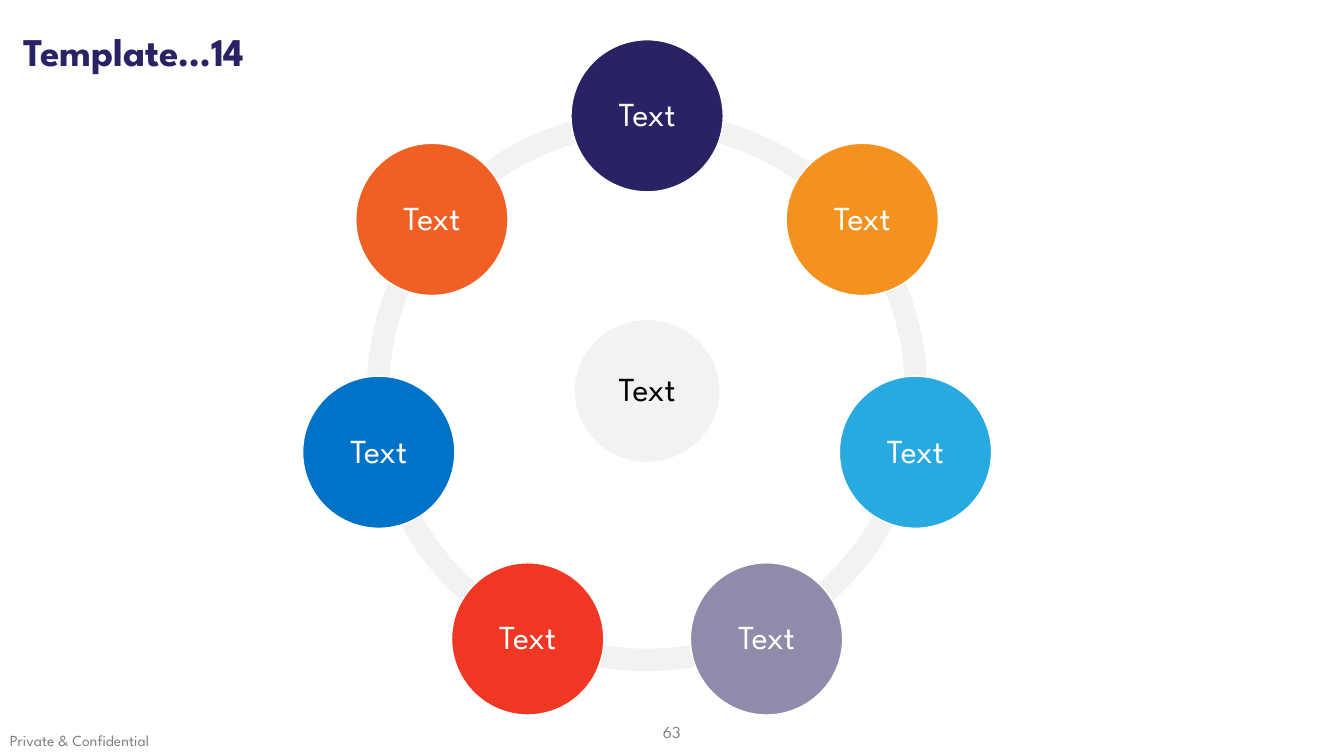
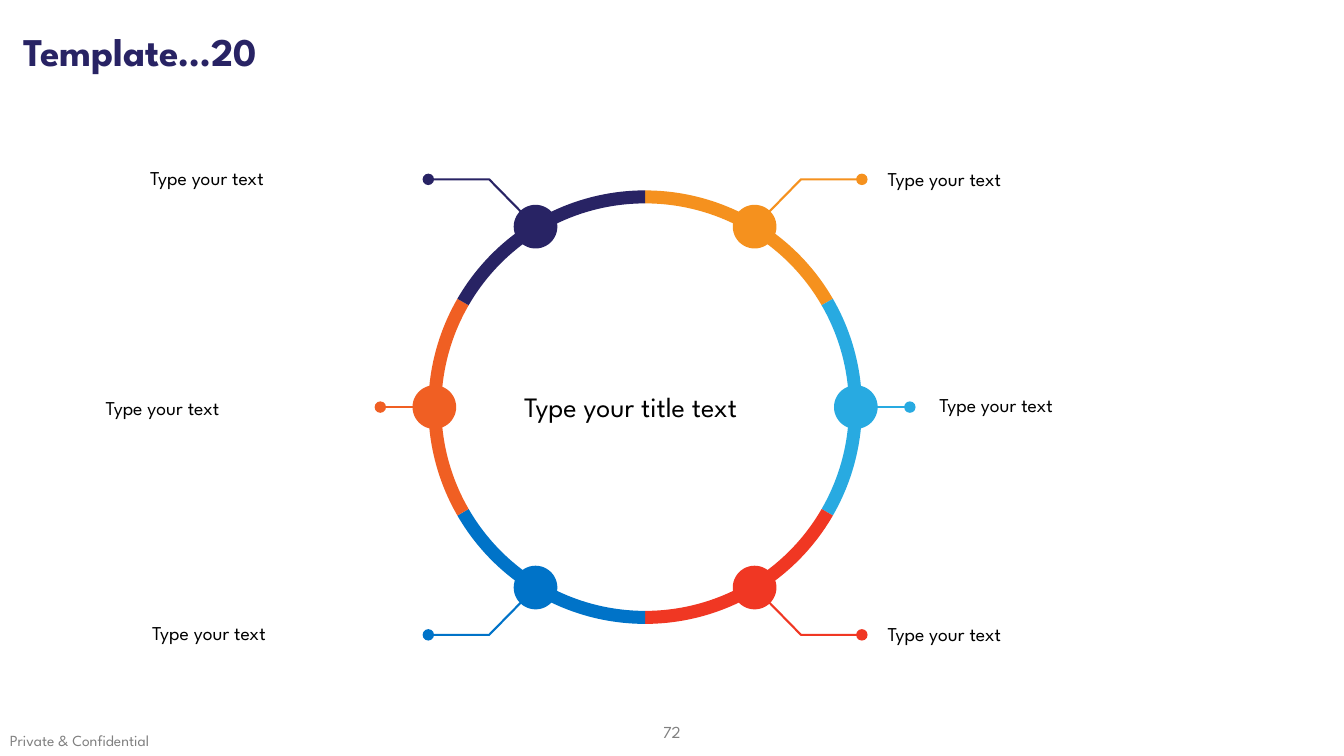
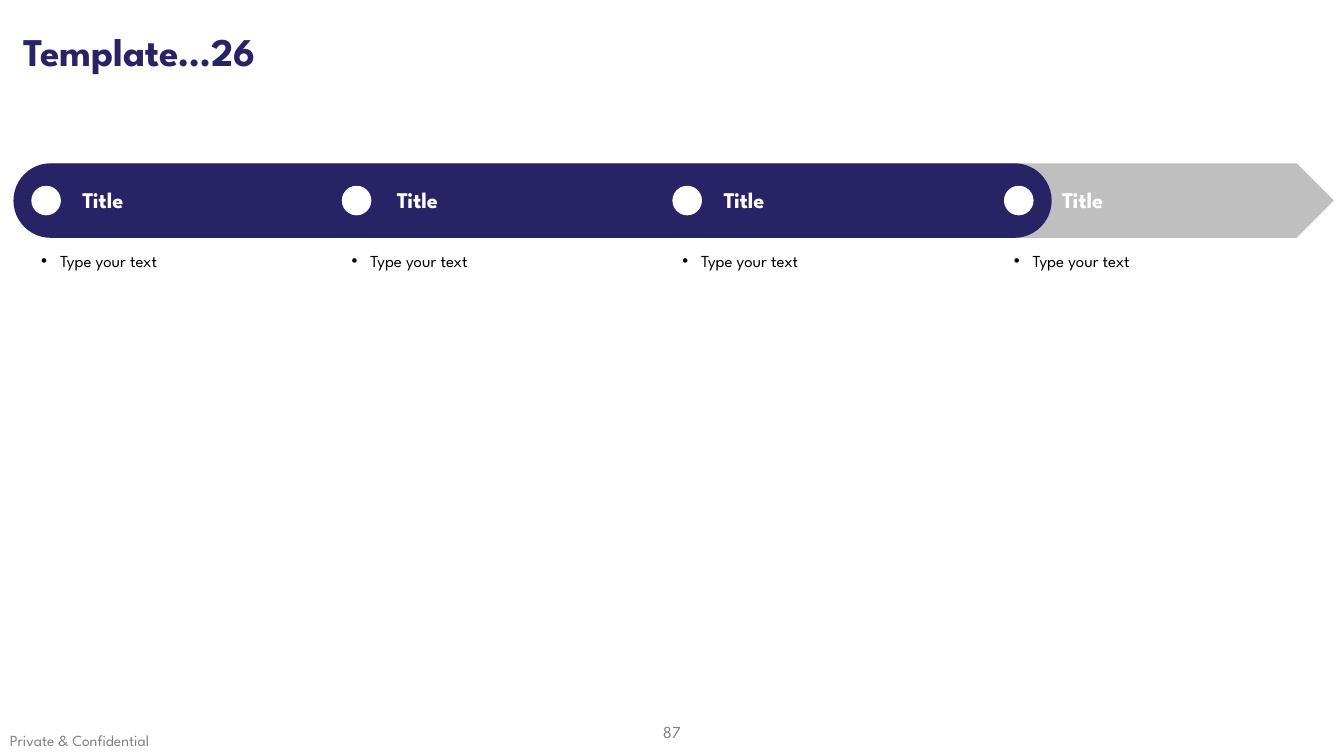
from math import cos, radians, sin

from lxml.etree import SubElement
from pptx import Presentation
from pptx.dml.color import RGBColor
from pptx.enum.shapes import MSO_CONNECTOR, MSO_SHAPE
from pptx.enum.text import MSO_ANCHOR, PP_ALIGN
from pptx.oxml.ns import qn
from pptx.util import Inches, Pt

SLIDE_WIDTH = Inches(13.33)
SLIDE_HEIGHT = Inches(7.5)
COLUMNS = 100

FONT = "League Spartan"
NAVY = "282364"
AMBER = "F5911E"
SKY = "28AAE1"
MAUVE = "918AAA"
RED = "F03723"
BLUE = "0073C8"
ORANGE = "F05F23"
PALE = "F2F2F2"
SILVER = "BFBFBF"
GREY = "808080"
WHITE = "FFFFFF"
BLACK = "000000"


def cells(count):
    return round(SLIDE_WIDTH * count / COLUMNS)


def color(hex_value):
    return RGBColor.from_string(hex_value)


def write(paragraph, text, size, hex_value, bold=False):
    run = paragraph.add_run()
    run.text = text
    run.font.name = FONT
    run.font.size = Pt(size)
    run.font.bold = bold
    run.font.color.rgb = color(hex_value)


def add_text(slide, box, text, size, hex_value=BLACK, bold=False, wrap=True):
    shape = slide.shapes.add_textbox(*map(cells, box))
    shape.text_frame.word_wrap = wrap
    write(shape.text_frame.paragraphs[0], text, size, hex_value, bold)
    return shape.text_frame


def indent(paragraph, left, first=0):
    properties = paragraph._p.get_or_add_pPr()
    properties.set("marL", str(cells(left)))
    properties.set("indent", str(cells(first)))
    return properties


def add_bullet(slide, box, text, size):
    frame = add_text(slide, box, text, size)
    properties = indent(frame.paragraphs[0], 1.4, -1.4)
    SubElement(properties, qn("a:buFont")).set("typeface", "Arial")
    SubElement(properties, qn("a:buChar")).set("char", "•")


def add_filled(slide, kind, box, fill, outline=None):
    shape = slide.shapes.add_shape(kind, *map(cells, box))
    shape.shadow.inherit = False
    shape.fill.solid()
    shape.fill.fore_color.rgb = color(fill)
    if outline:
        shape.line.color.rgb = color(outline)
        shape.line.width = Pt(1)
    else:
        shape.line.fill.background()
    return shape


def add_disc(slide, center, width, fill, height=None, outline=None):
    height = height or width
    x, y = center
    box = (x - width / 2, y - height / 2, width, height)
    return add_filled(slide, MSO_SHAPE.OVAL, box, fill, outline)


def add_labelled_disc(slide, center, width, fill, text, hex_value, height=None):
    shape = add_disc(slide, center, width, fill, height, WHITE)
    frame = shape.text_frame
    frame.margin_left = frame.margin_right = Inches(0.03)
    frame.margin_top = frame.margin_bottom = Inches(0.03)
    frame.vertical_anchor = MSO_ANCHOR.MIDDLE
    paragraph = frame.paragraphs[0]
    paragraph.alignment = PP_ALIGN.CENTER
    paragraph.line_spacing = 0.9
    write(paragraph, text, 24, hex_value)


def add_ring(slide, center, radius, thickness, fills):
    x, y = center
    sweep = 360 / len(fills)
    for index, fill in enumerate(fills):
        box = (x - radius, y - radius, 2 * radius, 2 * radius)
        arc = add_filled(slide, MSO_SHAPE.BLOCK_ARC, box, fill)
        start = 270 + index * sweep
        arc.adjustments[0] = start % 360 * 0.6
        arc.adjustments[1] = (start + sweep) % 360 * 0.6
        arc.adjustments[2] = thickness


def add_leader(slide, points, hex_value):
    points = [(cells(x), cells(y)) for x, y in points]
    if len(points) == 2:
        shape = slide.shapes.add_connector(
            MSO_CONNECTOR.STRAIGHT, *points[0], *points[1])
        SubElement(shape._element.spPr, qn("a:effectLst"))
    else:
        builder = slide.shapes.build_freeform(*points[0])
        builder.add_line_segments(points[1:], close=False)
        shape = builder.convert_to_shape()
        shape.shadow.inherit = False
        shape.fill.background()
    shape.line.color.rgb = color(hex_value)
    shape.line.width = Pt(1.5)


def add_page(presentation, title, number):
    slide = presentation.slides.add_slide(presentation.slide_layouts[6])
    page = add_text(slide, (47.78, 52.95, 4.43, 3), number, 12, GREY)
    page.vertical_anchor = MSO_ANCHOR.MIDDLE
    page.paragraphs[0].alignment = PP_ALIGN.CENTER
    add_text(slide, (0, 54.08, 24.9, 2.18), "Private & Confidential", 11, GREY)
    heading = add_text(slide, (0, 0.08, 100, 7.88), title, 28, NAVY, bold=True)
    heading.vertical_anchor = MSO_ANCHOR.MIDDLE
    heading.paragraphs[0].line_spacing = 0.9
    indent(heading.paragraphs[0], 1)
    return slide


def build_orbit(presentation):
    slide = add_page(presentation, "Template…14", "63")
    x, y = center = (48.15, 29.1)
    orbit = 20.48
    fills = [NAVY, AMBER, SKY, MAUVE, RED, BLUE, ORANGE]
    add_ring(slide, center, 20.85, 0.04, [PALE] * len(fills))
    add_labelled_disc(slide, center, 10.88, PALE, "Text", BLACK, height=10.65)
    for index, fill in enumerate(fills):
        angle = radians(360 / len(fills) * index)
        place = (x + orbit * sin(angle), y - orbit * cos(angle))
        add_labelled_disc(slide, place, 11.33, fill, "Text", WHITE)


def build_callout_ring(presentation):
    slide = add_page(presentation, "Template…20", "72")
    x, y = center = (48, 30.3)
    corner = [(8.15, 13.43), (11.6, 16.95), (16.13, 16.95)]
    side = [(15.68, 0), (19.7, 0)]
    callouts = [
        (AMBER, corner, 1, -1, 65.3, 12.08),
        (SKY, side, 1, 0, 69.15, 28.88),
        (RED, corner, 1, 1, 65.3, 45.9),
        (BLUE, corner, -1, 1, 10.58, 45.83),
        (ORANGE, side, -1, 0, 7.13, 29.1),
        (NAVY, corner, -1, -1, 10.43, 12),
    ]
    add_ring(slide, center, 16.13, 0.03, [callout[0] for callout in callouts])
    for fill, offsets, across, down, left, top in callouts:
        points = [(x + across * dx, y + down * dy) for dx, dy in offsets]
        add_leader(slide, points, fill)
        add_disc(slide, points[0], 3.25, fill)
        add_disc(slide, points[-1], 0.85, fill)
        add_text(slide, (left, top, 20.78, 2.55), "Type your text", 14)
    add_text(slide, (38.25, 28.58, 19.95, 3.3), "Type your title text", 20)


def build_timeline(presentation):
    slide = add_page(presentation, "Template…26", "87")
    top, height = 12.15, 5.55
    arrow = add_filled(
        slide, MSO_SHAPE.PENTAGON, (3.75, top, 95.5, height), SILVER)
    arrow.adjustments[0] = 0.5
    bar = add_filled(
        slide, MSO_SHAPE.ROUNDED_RECTANGLE, (1, top, 77.25, height), NAVY)
    bar.adjustments[0] = 0.5
    marker = 2.2
    steps = [(2.33, 5.4), (25.43, 28.8), (50.03, 53.1), (74.7, 78.3)]
    for left, title_left in steps:
        add_disc(slide, (left + marker / 2, top + height / 2), marker, WHITE)
        add_bullet(slide, (left, 18.3, 23.18, 2.25), "Type your text", 12)
        add_text(slide, (title_left, 13.5, 4.65, 2.78), "Title", 16, WHITE,
                 bold=True, wrap=False)


def main():
    presentation = Presentation()
    presentation.slide_width = SLIDE_WIDTH
    presentation.slide_height = SLIDE_HEIGHT
    build_orbit(presentation)
    build_callout_ring(presentation)
    build_timeline(presentation)
    presentation.save("out.pptx")


if __name__ == "__main__":
    main()
